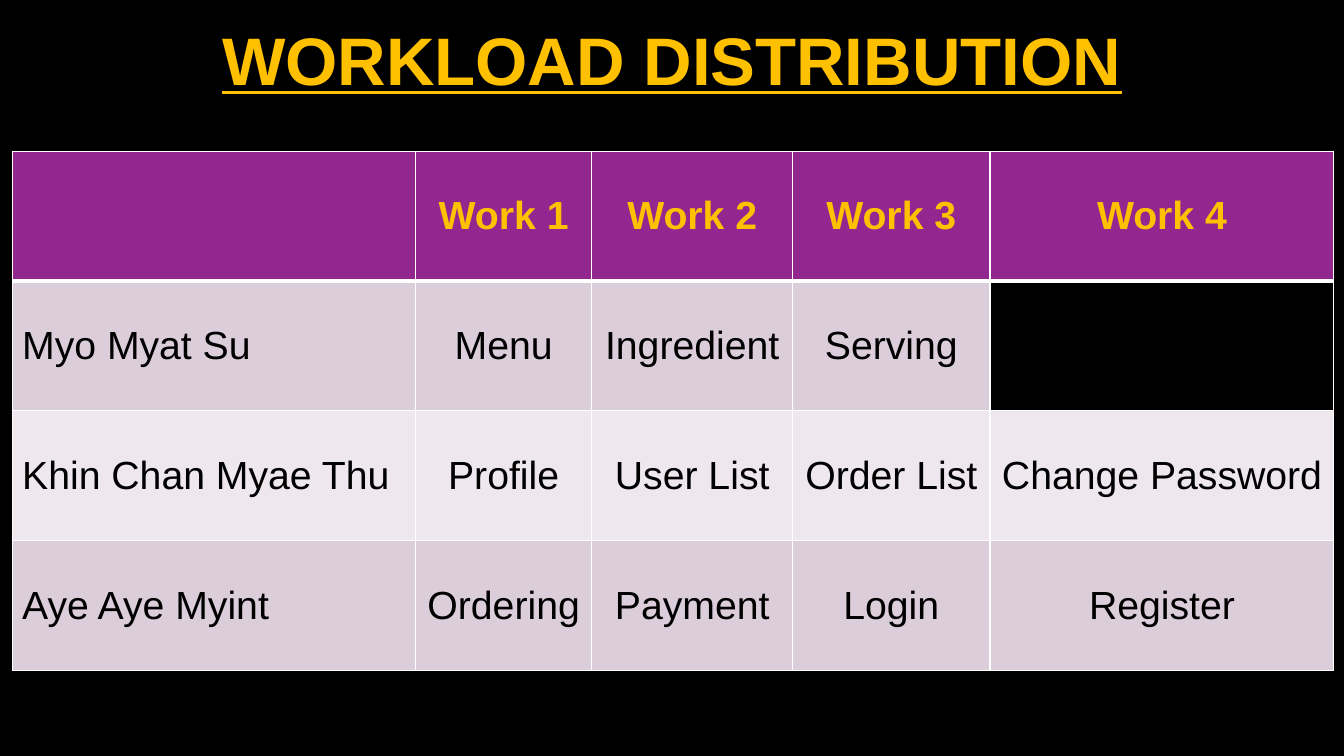
from lxml import etree
from pptx import Presentation
from pptx.dml.color import RGBColor
from pptx.enum.text import MSO_ANCHOR, MSO_AUTO_SIZE, PP_ALIGN
from pptx.oxml.ns import qn
from pptx.util import Inches, Pt

CENTER, LEFT, JUST = PP_ALIGN.CENTER, PP_ALIGN.LEFT, PP_ALIGN.JUSTIFY
MIDDLE = MSO_ANCHOR.MIDDLE
GROW = MSO_AUTO_SIZE.SHAPE_TO_FIT_TEXT
WIDE, HIGH = 13.33, 7.5
HUES = {
    "back": "000000", "gold": "FFC000", "head": "92278F", "line": "FFFFFF",
    "dark": "DCCDDB", "light": "EEE8EE", "ink": "000000",
}
COLS = [30.01, 13.13, 14.93, 14.7, 25.58]
ROWS = [
    ["", "Work 1", "Work 2", "Work 3", "Work 4"],
    ["Myo Myat Su", "Menu", "Ingredient", "Serving", ""],
    ["Khin Chan Myae Thu", "Profile", "User List", "Order List", "Change Password"],
    ["Aye Aye Myint", "Ordering", "Payment", "Login", "Register"],
]


def hue(name):
    return RGBColor.from_string(HUES[name])


def write(frame, text, size=28, color="ink", bold=False, line=False, align=CENTER):
    para = frame.paragraphs[0]
    para.alignment = align
    run = para.add_run()
    run.text = text
    font = run.font
    font.name, font.size = "Arial", Pt(size)
    font.bold, font.underline = bold, line
    font.color.rgb = hue(color)


class Deck:
    """Draws styled elements on one slide, placed by percent of its size."""

    def __init__(self):
        self.file = Presentation()
        self.file.slide_width = Inches(WIDE)
        self.file.slide_height = Inches(HIGH)
        self.slide = self.file.slides.add_slide(self.file.slide_layouts[6])
        fill = self.slide.background.fill
        fill.solid()
        fill.fore_color.rgb = hue("back")

    def across(self, share):
        return Inches(WIDE * share / 100)

    def down(self, share):
        return Inches(HIGH * share / 100)

    def place(self, left, top, width, height):
        return self.across(left), self.down(top), self.across(width), self.down(height)

    def title(self, text, *area):
        frame = self.slide.shapes.add_textbox(*self.place(*area)).text_frame
        frame.word_wrap = True
        frame.auto_size = GROW
        write(frame, text, size=48, color="gold", bold=True, line=True)

    def edge(self, cell, side, width):
        props = cell._tc.get_or_add_tcPr()
        line = etree.SubElement(props, qn(f"a:ln{side}"), w=str(Pt(width)))
        fill = etree.SubElement(line, qn("a:solidFill"))
        etree.SubElement(fill, qn("a:srgbClr"), val=HUES["line"])

    def cell(self, cell, text, row, col):
        head = row == 0
        thick = {"T": 3 if row == 1 else 1, "B": 3 if head else 1}
        for side in "LRTB":
            self.edge(cell, side, thick.get(side, 1))
        band = "head" if head else "dark" if row % 2 else "light"
        cell.fill.solid()
        cell.fill.fore_color.rgb = hue(band if text or head else "back")
        cell.vertical_anchor = MIDDLE
        if text:
            side = LEFT if band == "light" else JUST
            write(cell.text_frame, text, color="gold" if head else "ink",
                  bold=head, align=CENTER if col else side)

    def table(self, rows, cols, left, top, height):
        area = self.place(left, top, sum(cols), height * len(rows))
        grid = self.slide.shapes.add_table(len(rows), len(cols), *area).table
        grid.first_row = grid.horz_banding = False
        for col, width in zip(grid.columns, cols):
            col.width = self.across(width)
        for r, texts in enumerate(rows):
            grid.rows[r].height = self.down(height)
            for c, text in enumerate(texts):
                self.cell(grid.cell(r, c), text, r, c)


def main():
    deck = Deck()
    deck.title("WORKLOAD DISTRIBUTION", 0, 1.73, 100, 12.13)
    deck.table(ROWS, COLS, left=0.9, top=20, height=17.17)
    deck.file.save("out.pptx")


if __name__ == "__main__":
    main()
